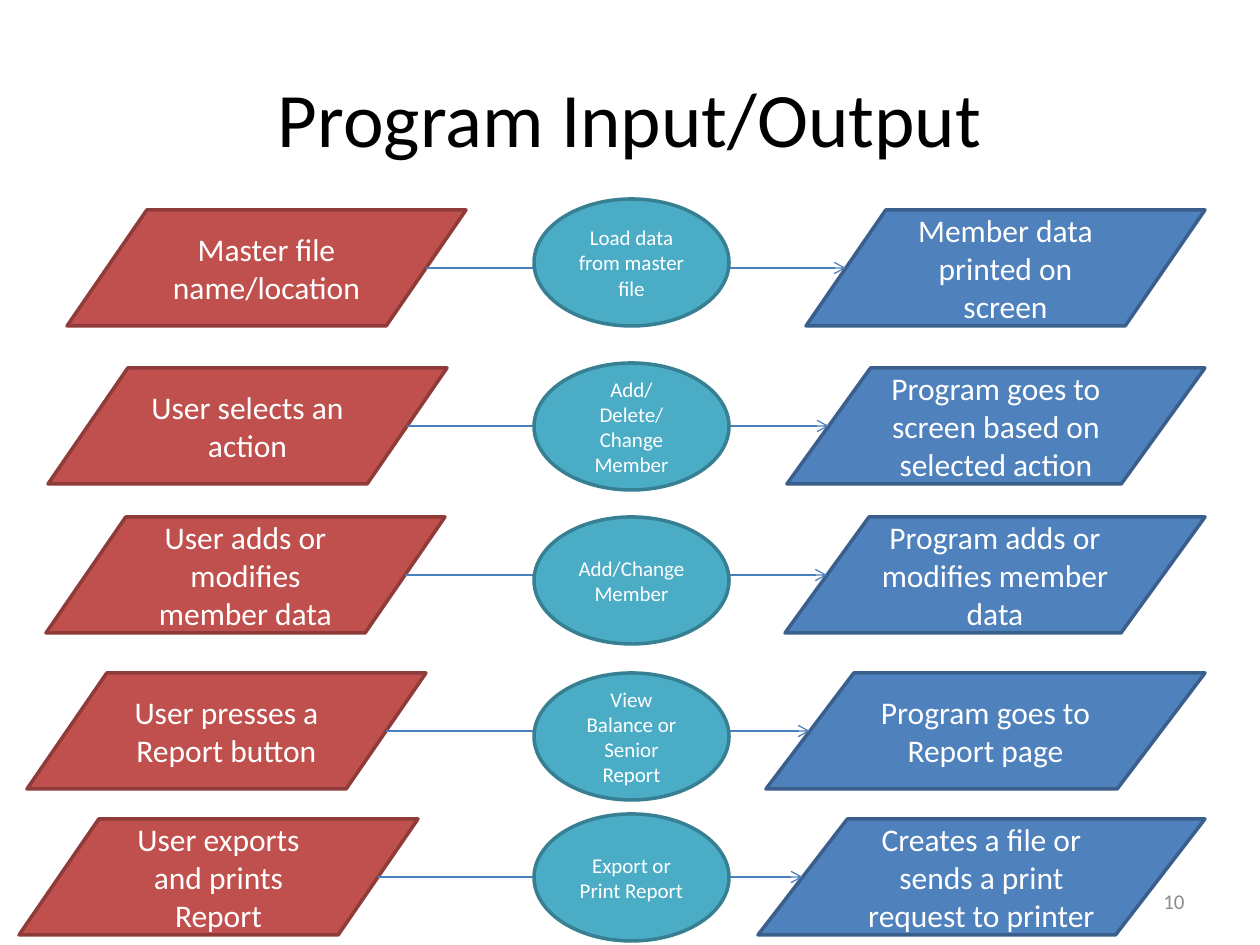
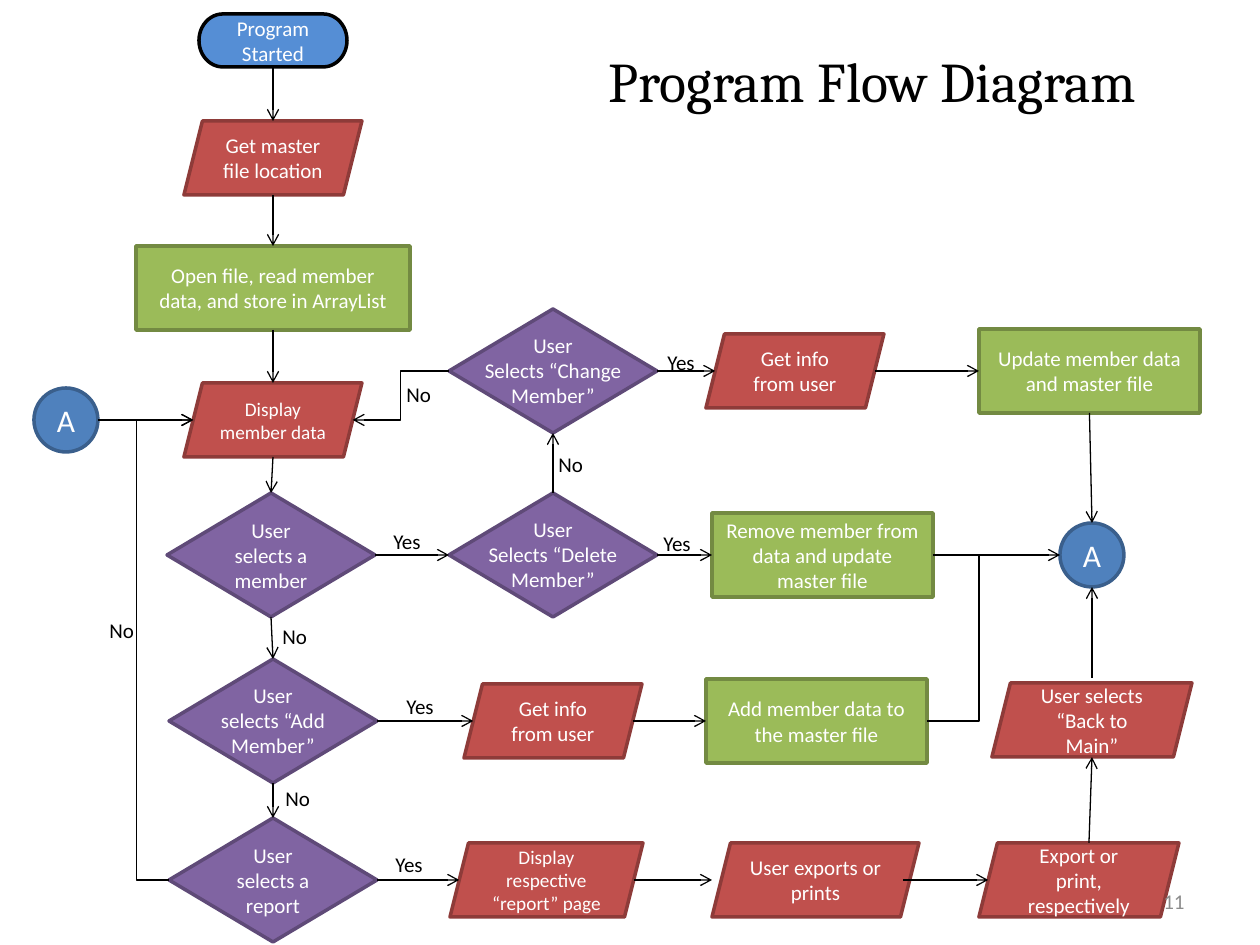
from lxml import etree
from pptx import Presentation
from pptx.dml.color import RGBColor
from pptx.enum import shapes, text
from pptx.oxml.ns import qn
from pptx.util import Pt

# Shared scale, colours and styles
PX = 914400 / 126
FONT = "Calibri"
BLACK, WHITE, GREY, BLUE = "000000", "FFFFFF", "8C8C8C", "4B7EBC"
KIND, ALIGN, ANCHOR = shapes.MSO_SHAPE, text.PP_ALIGN, text.MSO_ANCHOR
TOP, LEFT, BOTTOM, RIGHT = range(4)
JOINED = (KIND.FLOWCHART_PROCESS, KIND.FLOWCHART_DECISION,
          KIND.FLOWCHART_TERMINATOR)
STYLES = {  # outline, fill, border
    "input": (KIND.FLOWCHART_DATA, "C0504D", "8E3B39"),
    "output": (KIND.FLOWCHART_DATA, "4F81BD", "3A5F8C"),
    "task": (KIND.OVAL, "4BACC6", "377F92"),
    "start": (KIND.FLOWCHART_TERMINATOR, "558ED5", BLACK),
    "data": (KIND.PARALLELOGRAM, "C0504D", "8E3B39"),
    "step": (KIND.FLOWCHART_PROCESS, "9BBB59", "738A42"),
    "choice": (KIND.FLOWCHART_DECISION, "8064A2", "5F4A78"),
    "jump": (KIND.FLOWCHART_CONNECTOR, "4F81BD", "3A5F8C"),
}


def emu(px):
    return round(px * PX)


def tint(code):
    return RGBColor.from_string(code)


def write(frame, words, size, color, align=ALIGN.CENTER, font=FONT):
    """Fill a text frame, one paragraph for each line of words."""
    for i, line in enumerate(words.split("\n")):
        para = frame.add_paragraph() if i else frame.paragraphs[0]
        para.alignment = align
        run = para.add_run()
        run.text = line
        run.font.size = Pt(size)
        run.font.name = font
        run.font.color.rgb = tint(color)


def label(slide, box, words, size=12, color=BLACK, align=ALIGN.LEFT,
          anchor=ANCHOR.TOP, font=FONT):
    frame = slide.shapes.add_textbox(*map(emu, box)).text_frame
    frame.word_wrap = True
    frame.vertical_anchor = anchor
    write(frame, words, size, color, align, font)


def node(slide, style, box, words="", size=12):
    kind, fill, edge = STYLES[style]
    shape = slide.shapes.add_shape(kind, *map(emu, box))
    shape.shadow.inherit = False
    shape.fill.solid()
    shape.fill.fore_color.rgb = tint(fill)
    shape.line.color.rgb = tint(edge)
    shape.line.width = Pt(2)
    shape.text_frame.word_wrap = True
    shape.text_frame.vertical_anchor = ANCHOR.MIDDLE
    if words:
        write(shape.text_frame, words, size, WHITE)
    return shape


def spot(shape, side):
    """Middle of a side; slanted sides lie further in."""
    kind = shape.auto_shape_type
    lean = {KIND.PARALLELOGRAM: shape.height / 8,
            KIND.FLOWCHART_DATA: shape.width / 10}.get(kind, 0)
    x, y = shape.left, shape.top
    w, h = shape.width, shape.height
    return {TOP: (x + w / 2, y), LEFT: (x + lean, y + h / 2),
            BOTTOM: (x + w / 2, y + h),
            RIGHT: (x + w - lean, y + h / 2)}[side]


def place(end):
    """An end is (shape, side) or a point in px."""
    if isinstance(end[0], int):
        return emu(end[0]), emu(end[1])
    return tuple(map(round, spot(*end)))


def link(slide, start, end, color=BLACK, bend=None, head=True):
    """Arrow; bend is the turn's share of the width, in 1/100000."""
    form = shapes.MSO_CONNECTOR
    kind = form.STRAIGHT if bend is None else form.ELBOW
    line = slide.shapes.add_connector(kind, *place(start), *place(end))
    line.line.color.rgb = tint(color)
    line.line.width = Pt(0.75)
    props = line._element.spPr
    etree.SubElement(props, qn("a:effectLst"))
    if head:
        etree.SubElement(props.find(qn("a:ln")), qn("a:tailEnd"), type="arrow")
    if bend is not None:
        geom = props.find(qn("a:prstGeom"))
        values = geom.find(qn("a:avLst"))
        if values is None:
            values = etree.SubElement(geom, qn("a:avLst"))
        etree.SubElement(values, qn("a:gd"), name="adj1", fmla=f"val {bend}")
        return
    for tip, join in ((start, line.begin_connect), (end, line.end_connect)):
        if not isinstance(tip[0], int) and tip[0].auto_shape_type in JOINED:
            join(*tip)


def number(slide, value):
    label(slide, (903, 876, 294, 50), str(value), 12, GREY, ALIGN.RIGHT,
          ANCHOR.MIDDLE)


def in_out(slide):
    label(slide, (63, 38, 1134, 157), "Program Input/Output", 44,
          align=ALIGN.CENTER, anchor=ANCHOR.MIDDLE)
    rows = [  # top, input left, output left, task top, three texts
        (210, 67, 806, 199, "Master file name/location",
         "Load data from master file", "Member data printed on screen"),
        (368, 48, 787, 363, "User selects an action",
         "Add/Delete/Change Member",
         "Program goes to screen based on selected action"),
        (517, 46, 785, 517, "User adds or modifies member data",
         "Add/Change Member", "Program adds or modifies member data"),
        (673, 27, 766, 673, "User presses a Report button",
         "View Balance or Senior Report", "Program goes to Report page"),
        (819, 19, 758, 814, "User exports and prints Report",
         "Export or Print Report",
         "Creates a file or sends a print request to printer"),
    ]
    for top, left, out, high, given, task, result in rows:
        first = node(slide, "input", (left, top, 399, 116), given, 18)
        last = node(slide, "output", (out, top, 1205 - out, 116), result, 18)
        link(slide, (first, RIGHT), (last, LEFT), BLUE)
        node(slide, "task", (534, high, 195, 127), task)
    number(slide, 10)


def flow(slide):
    def data(x, y, words, w=178, size=12):
        return node(slide, "data", (x, y, w, 74), words, size)

    def step(x, y, words, w=221):
        return node(slide, "step", (x, y, w, 84), words)

    def choice(x, y, words):
        return node(slide, "choice", (x, y, 208, 124), words)

    def ask(x, y, words):
        """Choice whose wide text lies in a box of its own."""
        shape = choice(x, y, "")
        label(slide, (x + 14, y + 17, 180, 89), words, 12, WHITE,
              ALIGN.CENTER)
        return shape

    def jump(x, y):
        return node(slide, "jump", (x, y, 64, 64), "A", 18)

    label(slide, (596, 40, 620, 81), "Program Flow Diagram", 32,
          font="Cambria")

    # First column
    begin = node(slide, "start", (199, 14, 148, 53), "Program Started")
    locate = data(184, 121, "Get master file location")
    load = step(136, 246, "Open file, read member data, and store in ArrayList",
                274)
    show = data(184, 383, "Display member data", size=11)
    member = choice(167, 493, "User selects a member")
    add = ask(169, 659, "User\nselects “Add\nMember”")
    report = choice(169, 818, "User selects a report")

    # Branches to the right
    change = ask(449, 309, "User\nSelects “Change\nMember”")
    delete = ask(449, 493, "User\nSelects “Delete\nMember”")
    edit = data(706, 334, "Get info from user")
    update = step(979, 329, "Update member data and master file")
    remove = step(712, 513, "Remove member from data and update master file")
    info = data(464, 684, "Get info from user")
    store = step(706, 679, "Add member data to the master file")
    page = data(450, 843, "Display respective “report” page", 193, 11)
    export = data(712, 843, "User exports or prints", 207)
    output = data(979, 843, "Export or print, respectively", 200)
    back = data(992, 683, "User selects “Back to Main”", 200)
    entry, leave = jump(34, 388), jump(1060, 523)

    # Arrows down the first column
    column = [begin, locate, load, show, member, add, report]
    for upper, lower in zip(column, column[1:]):
        link(slide, (upper, BOTTOM), (lower, TOP))

    # Arrows to the right
    for a, b in [(member, delete), (delete, remove), (remove, leave),
                 (change, edit), (edit, update), (add, info), (info, store),
                 (report, page), (entry, show)]:
        link(slide, (a, RIGHT), (b, LEFT))
    link(slide, (page, RIGHT), (712, 880))
    link(slide, (903, 880), (output, LEFT))

    # Arrows up and down on the right
    link(slide, (delete, TOP), (change, BOTTOM))
    link(slide, (update, BOTTOM), (leave, TOP))
    link(slide, (1089, 843), (back, BOTTOM))
    link(slide, (1092, 678), (leave, BOTTOM))

    # Lines with corners
    link(slide, (report, LEFT), (show, LEFT), bend=-133300)
    link(slide, (change, LEFT), (show, RIGHT), bend=50000)
    link(slide, (store, RIGHT), (979, 555), bend=100000, head=False)

    # Answers
    answers = {
        "No": [(270, 617), (273, 779), (97, 611), (546, 445), (394, 375)],
        "Yes": [(381, 522), (394, 687), (651, 524), (383, 845), (655, 343)],
    }
    for word, spots in answers.items():
        for x, y in spots:
            label(slide, (x, y, 64, 38), word)
    number(slide, 11)


def main():
    deck = Presentation()
    deck.slide_width, deck.slide_height = emu(1260), emu(945)
    for draw in (in_out, flow):
        draw(deck.slides.add_slide(deck.slide_layouts[6]))
    deck.save("out.pptx")


if __name__ == "__main__":
    main()
